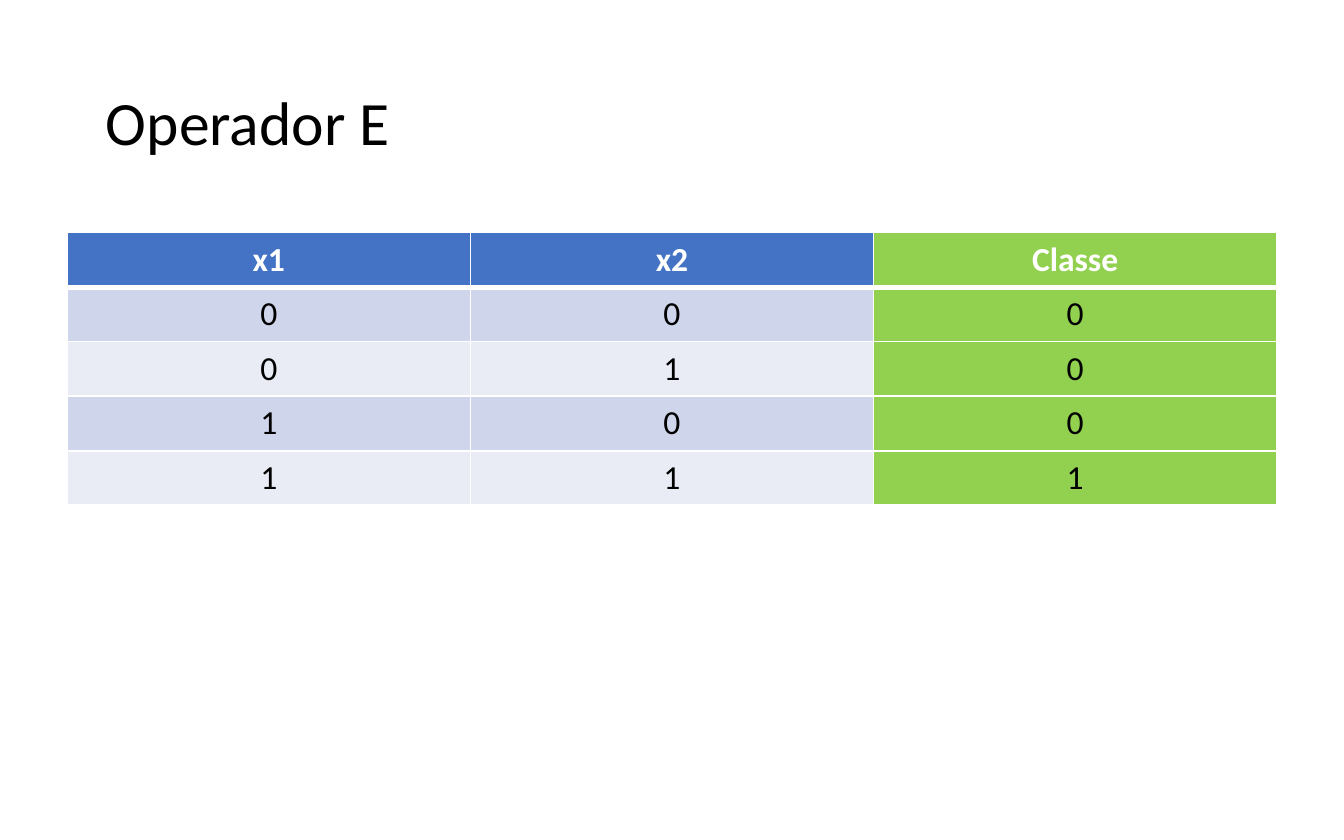
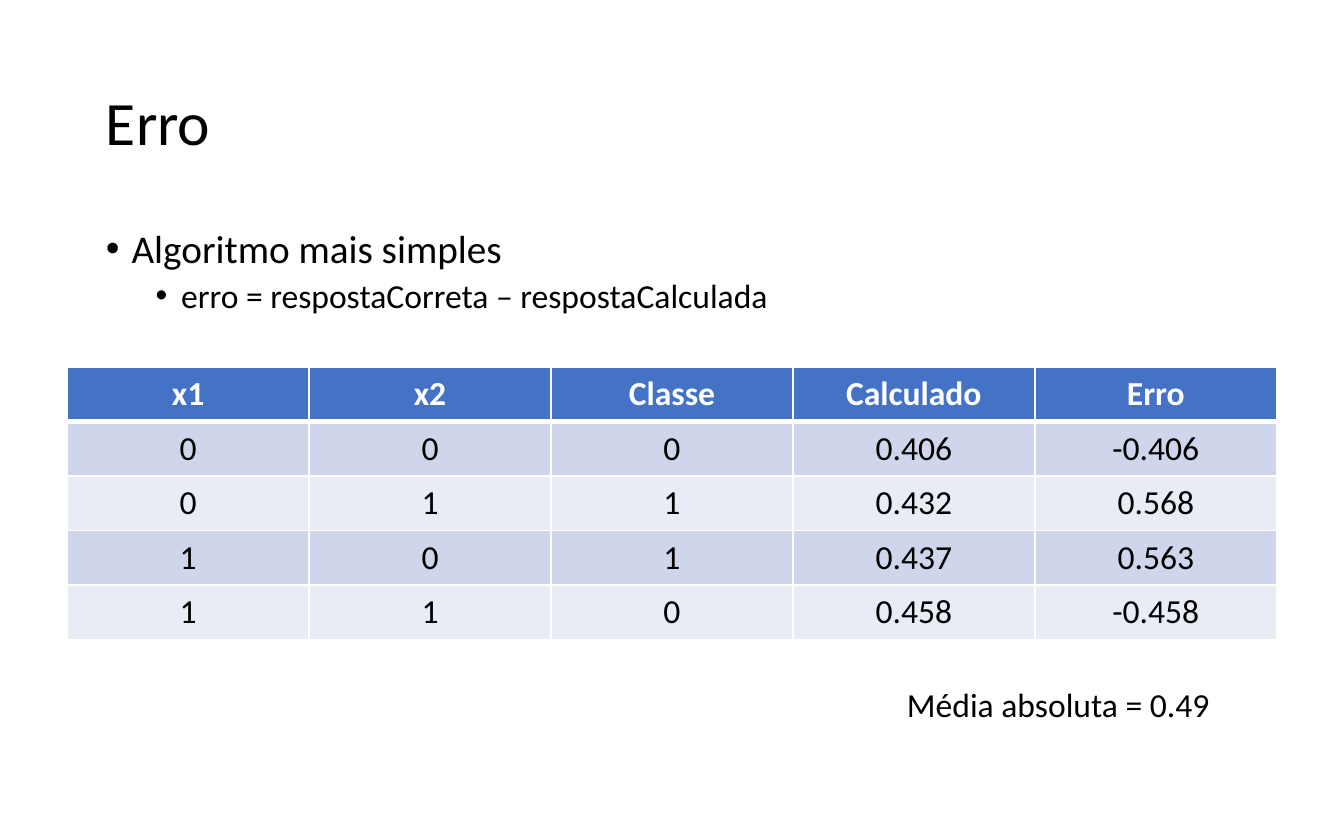
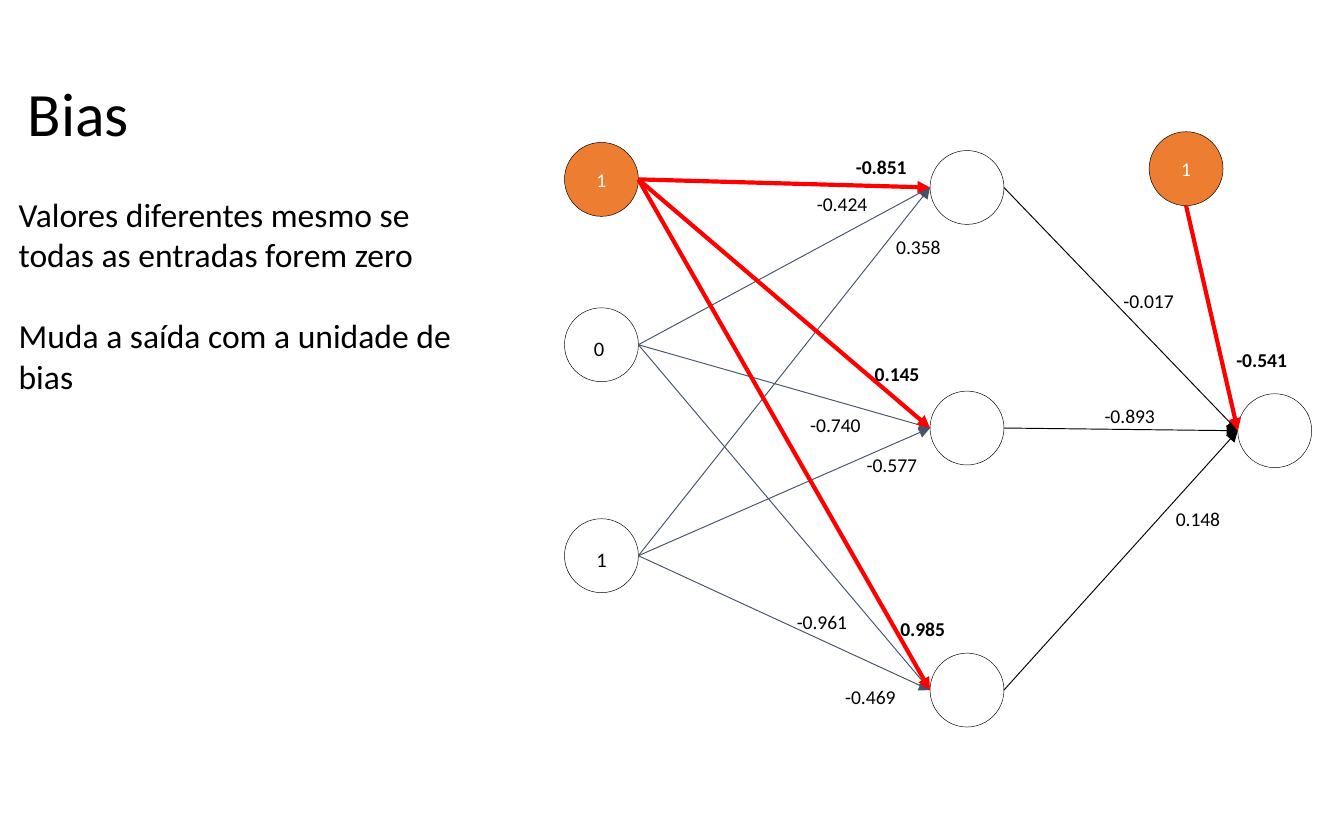
import pptx
import pptx.util
import pptx.dml.color
import pptx.enum.shapes
import pptx.enum.text
from pptx.oxml.ns import qn
from lxml import etree

RGBColor = pptx.dml.color.RGBColor
BLACK = RGBColor(0x00, 0x00, 0x00)
WHITE = RGBColor(0xFF, 0xFF, 0xFF)
BLUE = RGBColor(0x44, 0x72, 0xC4)
GREEN = RGBColor(0x92, 0xD0, 0x50)
BAND_DARK = RGBColor(0xCF, 0xD5, 0xEA)
BAND_LIGHT = RGBColor(0xE9, 0xEB, 0xF5)
SLATE = RGBColor(0x44, 0x54, 0x6A)
ORANGE = RGBColor(0xED, 0x7D, 0x31)
RED = RGBColor(0xFF, 0x00, 0x00)

FONT = "Calibri"
PX = 9144
PAGE = (1000, 625)
TITLE_BOX = (69, 33, 862, 121)
BIAS_TITLE_BOX = (11, 40, 184, 94)
TABLE_LEFT, TABLE_WIDTH, TABLE_HEIGHT = 50, 900, 203
DIAMETER = 55

AND_ROWS = [
    ("x1", "x2", "Classe"),
    ("0", "0", "0"),
    ("0", "1", "0"),
    ("1", "0", "0"),
    ("1", "1", "1"),
]
ERROR_ROWS = [
    ("x1", "x2", "Classe", "Calculado", "Erro"),
    ("0", "0", "0", "0.406", "-0.406"),
    ("0", "1", "1", "0.432", "0.568"),
    ("1", "0", "1", "0.437", "0.563"),
    ("1", "1", "0", "0.458", "-0.458"),
]
ERROR_BULLETS = [
    ("Algoritmo mais simples", 0, 21, 0, 19),
    ("erro = respostaCorreta – respostaCalculada", 1, 18, 3.8, 56),
]
BULLET_HANG = 19
BIAS_NOTES = [
    "Valores diferentes mesmo se\vtodas as entradas forem zero",
    "Muda a saída com a unidade de\vbias",
]

NEURONS = {
    "hidden1": (692, 112),
    "hidden2": (692, 291),
    "hidden3": (692, 486),
    "input1": (420, 229),
    "input2": (420, 386),
    "output": (921, 293),
}
BIASES = {"input_bias": (420, 106), "output_bias": (855, 98)}
HIDDEN = ["hidden1", "hidden2", "hidden3"]
SYNAPSES = [
    (HIDDEN, ["output"], BLACK, 0.5),
    (["input1", "input2"], HIDDEN, SLATE, 0.5),
    (["input_bias"], HIDDEN, RED, 2.25),
    (["output_bias"], ["output"], RED, 2.25),
]
INPUT_VALUES = [("0", 432, 245), ("1", 434, 402)]
WEIGHTS = [
    ("-0.424", 598, 138), ("-0.740", 593, 302), ("-0.961", 583, 449),
    ("0.358", 657, 170), ("-0.577", 635, 332), ("-0.469", 619, 505),
    ("-0.017", 826, 210), ("-0.893", 812, 296), ("0.148", 865, 372),
]
BIAS_WEIGHTS = [
    ("-0.851", 627, 110), ("0.145", 641, 264),
    ("0.985", 660, 454), ("-0.541", 910, 254),
]


def px(*lengths):
    return [pptx.util.Emu(round(length * PX)) for length in lengths]


def style(paragraph, size, color=BLACK, bold=False):
    for run in paragraph.runs:
        run.font.name = FONT
        run.font.size = pptx.util.Pt(size)
        run.font.color.rgb = color
        run.font.bold = bold


def add_text(slide, box, texts, size, bold=False, gap=0):
    frame = slide.shapes.add_textbox(*px(*box)).text_frame
    frame.word_wrap = True
    for index, text in enumerate(texts):
        paragraph = frame.add_paragraph() if index else frame.paragraphs[0]
        paragraph.text = text
        if index and gap:
            paragraph.space_before = pptx.util.Pt(gap)
        style(paragraph, size, bold=bold)
    return frame


def add_title(slide, title, box=TITLE_BOX):
    frame = add_text(slide, box, [title], 33)
    frame.vertical_anchor = pptx.enum.text.MSO_ANCHOR.MIDDLE
    frame.paragraphs[0].line_spacing = 0.9


def add_bullets(slide, box, bullets):
    frame = add_text(slide, box, [bullet[0] for bullet in bullets], 18)
    for paragraph, (_, level, size, before, indent) in zip(frame.paragraphs, bullets):
        paragraph.level = level
        paragraph.line_spacing = 0.9
        paragraph.space_before = pptx.util.Pt(before)
        properties = paragraph._p.get_or_add_pPr()
        properties.set("marL", str(indent * PX))
        properties.set("indent", str(-BULLET_HANG * PX))
        etree.SubElement(properties, qn("a:buFont"), typeface="Arial")
        etree.SubElement(properties, qn("a:buChar"), char="•")
        style(paragraph, size)


def add_borders(cell, row):
    widths = {"lnL": 1, "lnR": 1, "lnT": 3 if row == 1 else 1, "lnB": 3 if row == 0 else 1}
    properties = cell._tc.get_or_add_tcPr()
    for side, width in widths.items():
        line = etree.SubElement(properties, qn("a:" + side), w=str(pptx.util.Pt(width)))
        fill = etree.SubElement(line, qn("a:solidFill"))
        etree.SubElement(fill, qn("a:srgbClr"), val=str(WHITE))


def add_truth_table(slide, top, rows, highlight=None):
    frame = slide.shapes.add_table(
        len(rows), len(rows[0]), *px(TABLE_LEFT, top, TABLE_WIDTH, TABLE_HEIGHT))
    for row, values in enumerate(rows):
        band = BLUE if row == 0 else BAND_DARK if row % 2 else BAND_LIGHT
        for column, value in enumerate(values):
            cell = frame.table.cell(row, column)
            add_borders(cell, row)
            cell.fill.solid()
            cell.fill.fore_color.rgb = GREEN if column == highlight else band
            paragraph = cell.text_frame.paragraphs[0]
            paragraph.text = value
            paragraph.alignment = pptx.enum.text.PP_ALIGN.CENTER
            style(paragraph, 18, BLACK if row else WHITE, bold=row == 0)


def add_neuron(slide, place, color, value=""):
    neuron = slide.shapes.add_shape(
        pptx.enum.shapes.MSO_SHAPE.OVAL, *px(*place, DIAMETER, DIAMETER))
    neuron.shadow.inherit = False
    neuron.fill.solid()
    neuron.fill.fore_color.rgb = color
    neuron.line.color.rgb = BLACK
    neuron.line.width = pptx.util.Pt(0.25)
    if value:
        neuron.text_frame.text = value
        neuron.text_frame.vertical_anchor = pptx.enum.text.MSO_ANCHOR.MIDDLE
        paragraph = neuron.text_frame.paragraphs[0]
        paragraph.alignment = pptx.enum.text.PP_ALIGN.CENTER
        style(paragraph, 10.5, WHITE)


def add_synapse(slide, source, target, color, width):
    places = NEURONS | BIASES
    left, top = places[source]
    end_x, end_y = places[target]
    radius = DIAMETER / 2
    if source == "output_bias":
        start = (left + radius, top + DIAMETER)
    else:
        start = (left + DIAMETER, top + radius)
    synapse = slide.shapes.add_connector(
        pptx.enum.shapes.MSO_CONNECTOR.STRAIGHT, *px(*start, end_x, end_y + radius))
    synapse.line.color.rgb = color
    synapse.line.width = pptx.util.Pt(width)
    etree.SubElement(synapse.line._get_or_add_ln(), qn("a:tailEnd"), type="triangle")
    etree.SubElement(synapse._element.spPr, qn("a:effectLst"))


def add_labels(slide, labels, size, bold=False):
    for text, left, top in labels:
        width = {1: 30, 5: 62, 6: 71}[len(text)]
        add_text(slide, (left, top, width, 28), [text], size, bold)


def build_and(slide):
    add_title(slide, "Operador E")
    add_truth_table(slide, 173, AND_ROWS, highlight=2)


def build_error(slide):
    add_title(slide, "Erro")
    add_bullets(slide, (69, 166, 862, 397), ERROR_BULLETS)
    add_truth_table(slide, 273, ERROR_ROWS)
    add_text(slide, (665, 504, 298, 40), ["Média absoluta = 0.49"], 18)


def build_bias(slide):
    for place in NEURONS.values():
        add_neuron(slide, place, WHITE)
    for place in BIASES.values():
        add_neuron(slide, place, ORANGE, "1")
    for sources, targets, color, width in SYNAPSES:
        for source in sources:
            for target in targets:
                add_synapse(slide, source, target, color, width)
    add_labels(slide, INPUT_VALUES, 11)
    add_labels(slide, WEIGHTS, 10.5)
    add_labels(slide, BIAS_WEIGHTS, 10.5, bold=True)
    add_title(slide, "Bias", BIAS_TITLE_BOX)
    add_text(slide, (4, 139, 408, 162), BIAS_NOTES, 18, gap=22)


def main():
    deck = pptx.Presentation()
    deck.slide_width, deck.slide_height = px(*PAGE)
    for build in (build_and, build_error, build_bias):
        build(deck.slides.add_slide(deck.slide_layouts[6]))
    deck.save("out.pptx")


if __name__ == "__main__":
    main()
